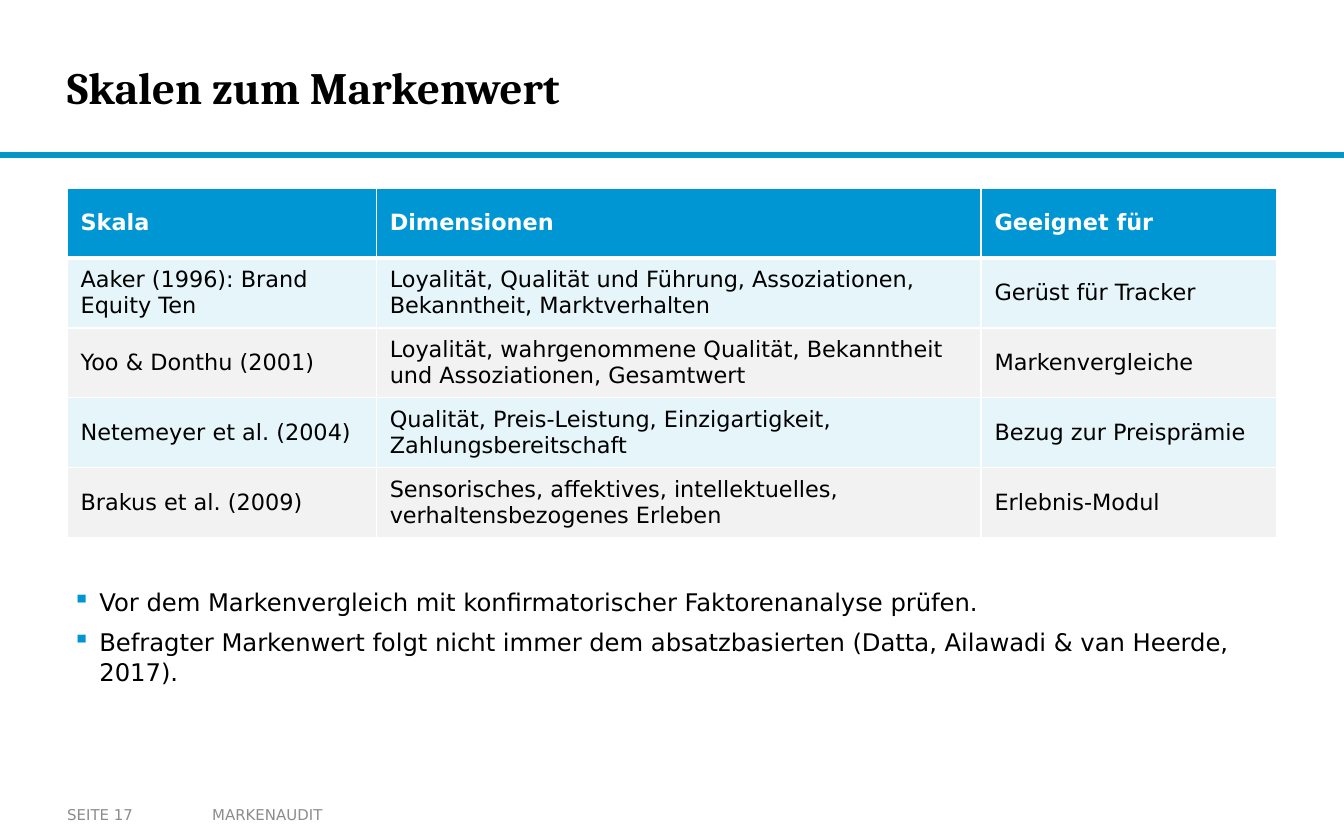
from lxml.etree import SubElement
from pptx import Presentation
from pptx.dml.color import RGBColor
from pptx.enum.shapes import MSO_SHAPE as Shape
from pptx.enum.text import MSO_ANCHOR as Anchor, MSO_AUTO_SIZE as AutoSize, PP_ALIGN as Align
from pptx.oxml.ns import qn
from pptx.util import Inches, Pt

BLUE, WHITE, BLACK, GREY = "0096D3", "FFFFFF", "000000", "8C8C8C"
BANDS = ["E5F5FA", "F2F2F2"]
TITLE = {"name": "Cambria", "size": Pt(24), "bold": True}
HEADER = {"name": "DejaVu Sans", "size": Pt(12), "bold": True}
CELL = {**HEADER, "bold": False}
BULLET = {**CELL, "size": Pt(13)}
FOOTER = {**CELL, "size": Pt(8)}

COLUMNS = [2.3, 4.5, 2.2]
ROWS = [
    ["Skala", "Dimensionen", "Geeignet für"],
    ["Aaker (1996): Brand Equity Ten",
     "Loyalität, Qualität und Führung, Assoziationen, Bekanntheit, Marktverhalten",
     "Gerüst für Tracker"],
    ["Yoo & Donthu (2001)",
     "Loyalität, wahrgenommene Qualität, Bekanntheit und Assoziationen, Gesamtwert",
     "Markenvergleiche"],
    ["Netemeyer et al. (2004)",
     "Qualität, Preis-Leistung, Einzigartigkeit, Zahlungsbereitschaft",
     "Bezug zur Preisprämie"],
    ["Brakus et al. (2009)",
     "Sensorisches, affektives, intellektuelles, verhaltensbezogenes Erleben",
     "Erlebnis-Modul"],
]
BULLETS = [
    "Vor dem Markenvergleich mit konfirmatorischer Faktorenanalyse prüfen.",
    "Befragter Markenwert folgt nicht immer dem absatzbasierten "
    "(Datta, Ailawadi & van Heerde, 2017).",
]


def rgb(value):
    return RGBColor.from_string(value)


def inches(box):
    return [Inches(length) for length in box]


def write(para, text, style, color):
    span = para.add_run()
    span.text = text
    for name, value in style.items():
        setattr(span.font, name, value)
    span.font.color.rgb = rgb(color)


def set_margins(target, horizontal, vertical):
    target.margin_left = target.margin_right = Inches(horizontal)
    target.margin_top = target.margin_bottom = Inches(vertical)


def add_title(page, box, text):
    title = page.shapes.title
    title.left, title.top, title.width, title.height = inches(box)
    frame = title.text_frame
    frame.auto_size = AutoSize.NONE
    frame.vertical_anchor = Anchor.MIDDLE
    set_margins(frame, 0, 0)
    para = frame.paragraphs[0]
    para.alignment = Align.LEFT
    write(para, text, TITLE, BLACK)


def add_rule(page, box):
    rule = page.shapes.add_shape(Shape.RECTANGLE, *inches(box))
    rule.shadow.inherit = False
    rule.fill.solid()
    rule.fill.fore_color.rgb = rgb("0C94B7")
    rule.line.color.rgb = rgb(BLUE)
    rule.line.width = Pt(1)


def add_borders(cell, widths):
    properties = cell._tc.get_or_add_tcPr()
    for side, width in widths.items():
        line = SubElement(properties, qn(f"a:ln{side}"), w=str(Pt(width)))
        fill = SubElement(line, qn("a:solidFill"))
        SubElement(fill, qn("a:srgbClr"), val=WHITE)


def add_scale_table(page, box):
    table = page.shapes.add_table(len(ROWS), len(COLUMNS), *inches(box)).table
    for column, width in zip(table.columns, COLUMNS):
        column.width = Inches(width)
    for index, texts in enumerate(ROWS):
        table.rows[index].height = Inches(box[3] / len(ROWS))
        is_header = index == 0
        fill = BLUE if is_header else BANDS[(index - 1) % 2]
        style, color = (HEADER, WHITE) if is_header else (CELL, BLACK)
        widths = {"L": 1, "R": 1, "T": 3 if index == 1 else 1, "B": 3 if is_header else 1}
        for cell, text in zip(table.rows[index].cells, texts):
            cell.vertical_anchor = Anchor.MIDDLE
            set_margins(cell, 0.1, 0.04)
            add_borders(cell, widths)
            cell.fill.solid()
            cell.fill.fore_color.rgb = rgb(fill)
            write(cell.text_frame.paragraphs[0], text, style, color)


def add_bullet(para):
    properties = para._p.get_or_add_pPr()
    properties.set("marL", str(Inches(0.2)))
    properties.set("indent", str(-Inches(0.2)))
    SubElement(SubElement(properties, qn("a:buClr")), qn("a:srgbClr"), val=BLUE)
    SubElement(properties, qn("a:buChar"), char="▪")


def add_bullets(page, box):
    frame = page.shapes.add_textbox(*inches(box)).text_frame
    frame.word_wrap = True
    frame.auto_size = AutoSize.SHAPE_TO_FIT_TEXT
    set_margins(frame, 0.04, 0.02)
    for index, text in enumerate(BULLETS):
        para = frame.add_paragraph() if index else frame.paragraphs[0]
        add_bullet(para)
        para.space_after = Pt(6)
        write(para, text, BULLET, BLACK)


def add_footer(page, box, text, margin):
    frame = page.shapes.add_textbox(*inches(box)).text_frame
    frame.word_wrap = True
    frame.vertical_anchor = Anchor.MIDDLE
    set_margins(frame, margin, 0.05)
    write(frame.paragraphs[0], text, FOOTER, GREY)


def main():
    deck = Presentation()
    deck.slide_width, deck.slide_height = Inches(10), Inches(6.25)
    page = deck.slides.add_slide(deck.slide_layouts[5])
    add_rule(page, (0, 1.14, 10, 0.03))
    add_title(page, (0.5, 0.15, 7.48, 0.99), "Skalen zum Markenwert")
    add_footer(page, (1.48, 5.92, 3.52, 0.28), "MARKENAUDIT", 0.1)
    add_footer(page, (0.5, 5.92, 0.98, 0.28), "SEITE 17", 0)
    add_scale_table(page, (0.5, 1.4, 9, 2.6))
    add_bullets(page, (0.5, 4.35, 9, 0.8))
    deck.save("out.pptx")


if __name__ == "__main__":
    main()
